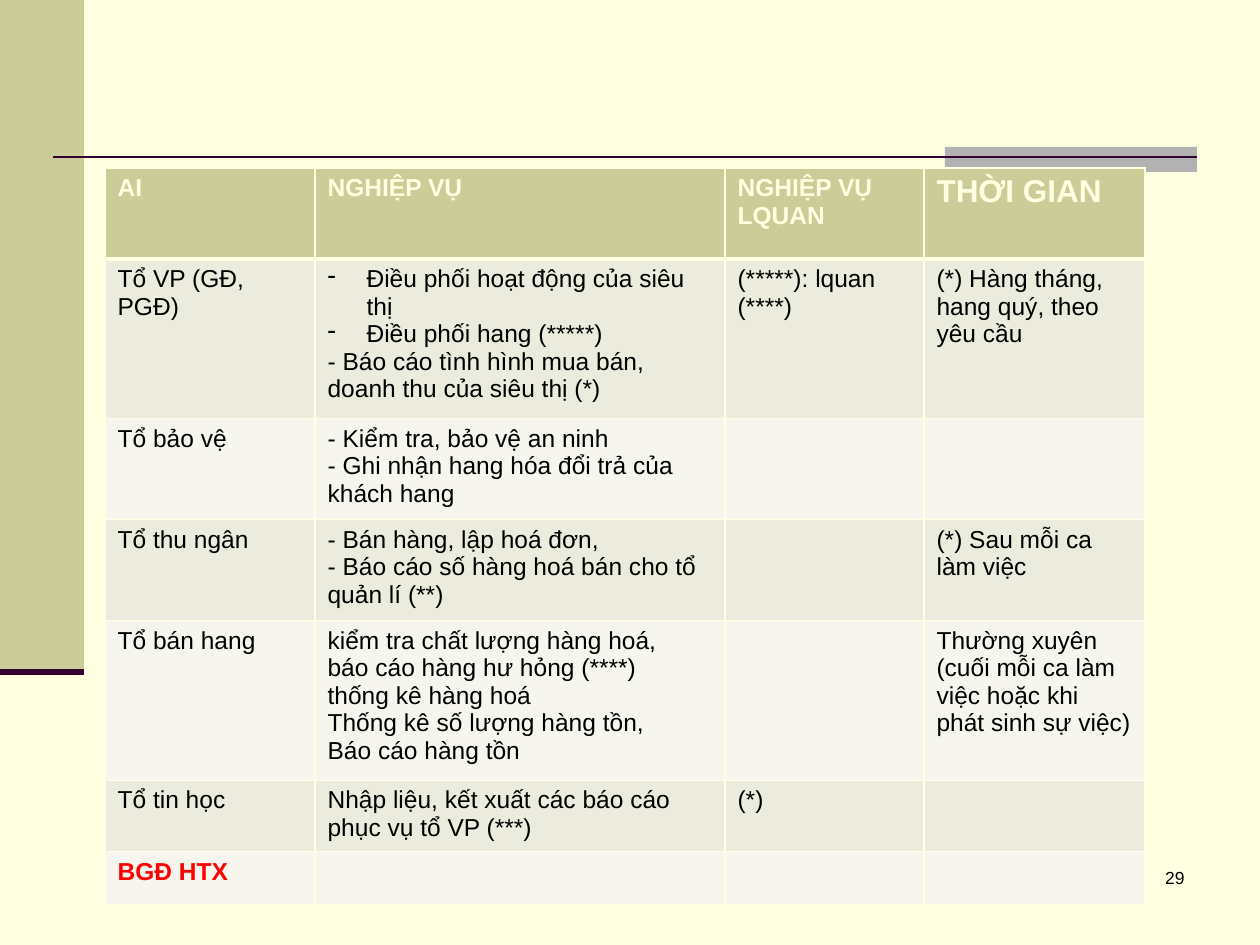
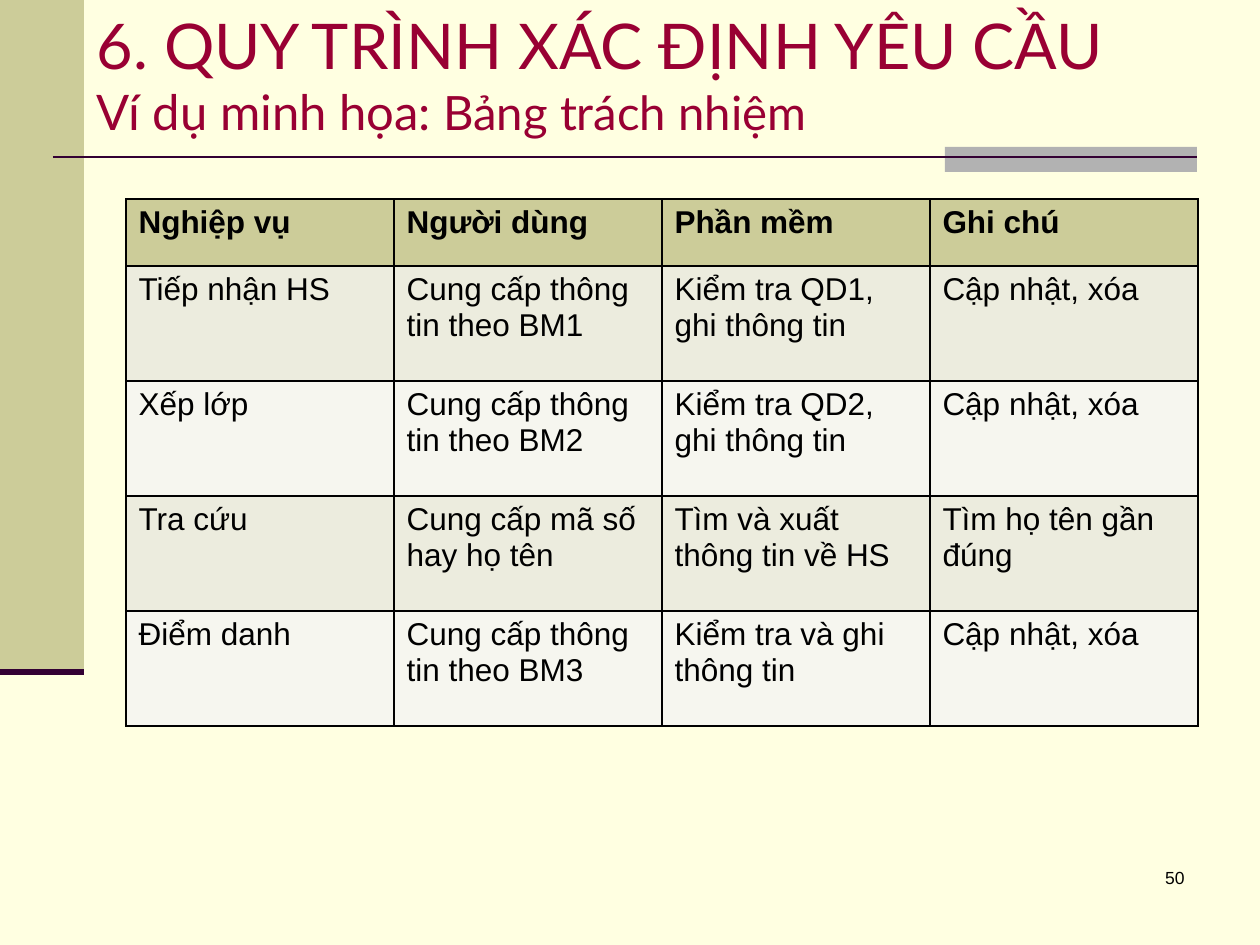
from lxml.etree import SubElement as Sub
from pptx import Presentation
from pptx.dml.color import RGBColor
from pptx.enum.shapes import MSO_CONNECTOR as Link, MSO_SHAPE as Shape
from pptx.enum.text import MSO_ANCHOR as Anchor, MSO_AUTO_SIZE as Auto, PP_ALIGN as Align
from pptx.oxml import parse_xml
from pptx.oxml.ns import nsdecls, qn
from pptx.util import Pt

SCALE = 914400 / 126  # EMU in one px
COLORS = {
    "page": "FFFFE1", "sand": "CCCC99", "gray": "B2B2B2", "plum": "330033",
    "wine": "990033", "odd": "ECECDE", "even": "F6F6EF", "black": "000000",
    "red": "FF0000",
}

TASKS = [
    ["AI", "NGHIỆP VỤ", "NGHIỆP VỤ LQUAN", "THỜI GIAN"],
    ["Tổ VP (GĐ, PGĐ)",
     "Điều phối hoạt động của siêu thị\nĐiều phối hang (*****)\n"
     "- Báo cáo tình hình mua bán, doanh thu của siêu thị (*)",
     "(*****): lquan (****)", "(*) Hàng tháng, hang quý, theo yêu cầu"],
    ["Tổ bảo vệ",
     "- Kiểm tra, bảo vệ an ninh\n- Ghi nhận hang hóa đổi trả của khách hang", "", ""],
    ["Tổ thu ngân",
     "- Bán hàng, lập hoá đơn,\n- Báo cáo số hàng hoá bán cho tổ quản lí (**)",
     "", "(*) Sau mỗi ca làm việc"],
    ["Tổ bán hang",
     "kiểm tra chất lượng hàng hoá,\nbáo cáo hàng hư hỏng (****)\nthống kê hàng hoá\n"
     "Thống kê số lượng hàng tồn,\nBáo cáo hàng tồn",
     "", "Thường xuyên (cuối mỗi ca làm việc hoặc khi phát sinh sự việc)"],
    ["Tổ tin học", "Nhập liệu, kết xuất các báo cáo phục vụ tổ VP (***)", "(*)", ""],
    ["BGĐ HTX", "", "", ""],
]

DUTIES = [
    ["Nghiệp vụ", "Người dùng", "Phần mềm", "Ghi chú"],
    ["Tiếp nhận HS", "Cung cấp thông tin theo BM1", "Kiểm tra QD1, ghi thông tin",
     "Cập nhật, xóa"],
    ["Xếp lớp", "Cung cấp thông tin theo BM2", "Kiểm tra QD2, ghi thông tin",
     "Cập nhật, xóa"],
    ["Tra cứu", "Cung cấp mã số hay họ tên", "Tìm và xuất thông tin về HS",
     "Tìm họ tên gần đúng"],
    ["Điểm danh", "Cung cấp thông tin theo BM3", "Kiểm tra và ghi thông tin",
     "Cập nhật, xóa"],
]


def px(*nums):
    return [round(n * SCALE) for n in nums]


def rgb(name):
    return RGBColor.from_string(COLORS[name])


def style(run, size, color, font="Arial", bold=False):
    run.font.name = font
    run.font.size = Pt(size)
    run.font.bold = bold
    run.font.color.rgb = rgb(color)


def write(frame, text, size=14, color="black", bold=False, align=Align.LEFT, dashes=0):
    """Fill a frame, one paragraph a line; the first `dashes` lines get a dash bullet."""
    frame.clear()
    for i, line in enumerate(text.split("\n")):
        para = frame.paragraphs[0] if i == 0 else frame.add_paragraph()
        if i < dashes:
            props = para._p.get_or_add_pPr()
            props.set("marL", str(px(39)[0]))
            props.set("indent", str(px(-39)[0]))
            Sub(props, qn("a:buChar")).set("char", "-")
        para.alignment = align
        if line:
            run = para.add_run()
            run.text = line
            style(run, size, color, bold=bold)


def rect(slide, box, color):
    shape = slide.shapes.add_shape(Shape.RECTANGLE, *px(*box))
    shape.shadow.inherit = False
    shape.fill.solid()
    shape.fill.fore_color.rgb = rgb(color)
    shape.line.fill.background()


def rule(slide, ends, width):
    line = slide.shapes.add_connector(Link.STRAIGHT, *px(*ends))
    line.line.color.rgb = rgb("plum")
    line.line.width = Pt(width)
    Sub(line._element.spPr, qn("a:effectLst"))


def frame_page(slide, number):
    """Draw the side band, the rules and the page number."""
    rect(slide, (0, 0, 84, 672), "sand")
    rect(slide, (945, 147, 252, 25), "gray")
    rule(slide, (53, 157, 1197, 157), 1.5)
    rule(slide, (0, 672, 84, 672), 3.5)
    box = slide.shapes.add_textbox(*px(935, 861, 262, 63))
    box.text_frame.word_wrap = True
    write(box.text_frame, str(number), size=10, align=Align.RIGHT)


def edge(cell, color, top, bottom):
    """Give a cell its four borders, with top and bottom widths in points."""
    props = cell._tc.get_or_add_tcPr()
    for i, (side, width) in enumerate(zip("LRTB", (1, 1, top, bottom))):
        props.insert(i, parse_xml(
            f'<a:ln{side} {nsdecls("a")} w="{Pt(width)}"><a:solidFill>'
            f'<a:srgbClr val="{COLORS[color]}"/></a:solidFill></a:ln{side}>'))


def add_grid(slide, spot, cols, rows, data, size, line, head, thick=1):
    """Add a table; head colours the first row's text, thick is the rule below it."""
    shape = slide.shapes.add_table(len(rows), len(cols), *px(*spot, sum(cols), sum(rows)))
    table = shape.table
    for col, width in zip(table.columns, px(*cols)):
        col.width = width
    for r, texts in enumerate(data):
        table.rows[r].height = px(rows[r])[0]
        fill = "sand" if r == 0 else "odd" if r % 2 else "even"
        for c, text in enumerate(texts):
            cell = table.cell(r, c)
            cell.fill.solid()
            cell.fill.fore_color.rgb = rgb(fill)
            write(cell.text_frame, text, size=size, bold=r == 0,
                  color=head if r == 0 else "black")
            edge(cell, line, top=thick if r == 1 else 1, bottom=thick if r == 0 else 1)
    return table


def set_title(slide, first, rest):
    """Set a large first line, then runs of (text, size) on the second."""
    title = slide.shapes.title
    title.left, title.top, title.width, title.height = px(84, 0, 1176, 147)
    frame = title.text_frame
    frame.word_wrap = True
    frame.auto_size = Auto.NONE
    frame.vertical_anchor = Anchor.MIDDLE
    para = frame.paragraphs[0]
    para.alignment = Align.LEFT
    for i, (text, size) in enumerate([(first, 36), *rest]):
        run = para.add_run()
        run.text = text
        style(run, size, "wine", font="Lato")
        if i == 0:
            para.add_line_break()
            Sub(para._p[-1], qn("a:rPr")).set("sz", "3600")


def main():
    deck = Presentation()
    deck.slide_width, deck.slide_height = px(1260, 945)
    back = deck.slide_master.background.fill
    back.solid()
    back.fore_color.rgb = rgb("page")

    slide = deck.slides.add_slide(deck.slide_layouts[6])
    frame_page(slide, 29)
    table = add_grid(slide, (105, 168), (210, 410, 199, 221),
                     (91, 149, 95, 96, 150, 68, 53), TASKS,
                     size=14, line="page", head="page", thick=3)
    write(table.cell(0, 3).text_frame, TASKS[0][3], size=18, color="page", bold=True)
    write(table.cell(1, 1).text_frame, TASKS[1][1], dashes=2)
    write(table.cell(6, 0).text_frame, TASKS[6][0], color="red", bold=True)

    slide = deck.slides.add_slide(deck.slide_layouts[5])
    frame_page(slide, 50)
    set_title(slide, "6. QUY TRÌNH XÁC ĐỊNH YÊU CẦU",
              [("Ví dụ minh họa: ", 28), ("Bảng trách nhiệm", 27)])
    add_grid(slide, (126, 199), [268] * 4, [67] + [115] * 4, DUTIES,
             size=18, line="black", head="black")

    deck.save("out.pptx")


if __name__ == "__main__":
    main()
